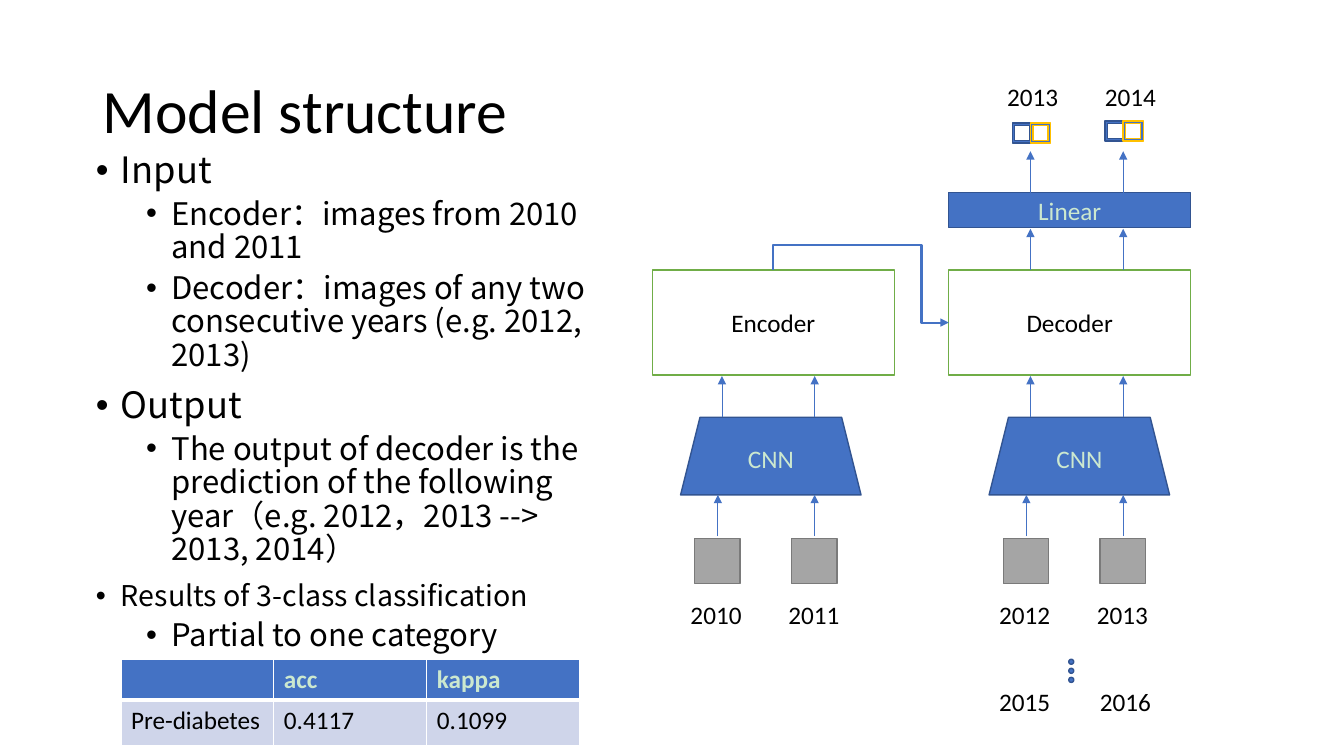
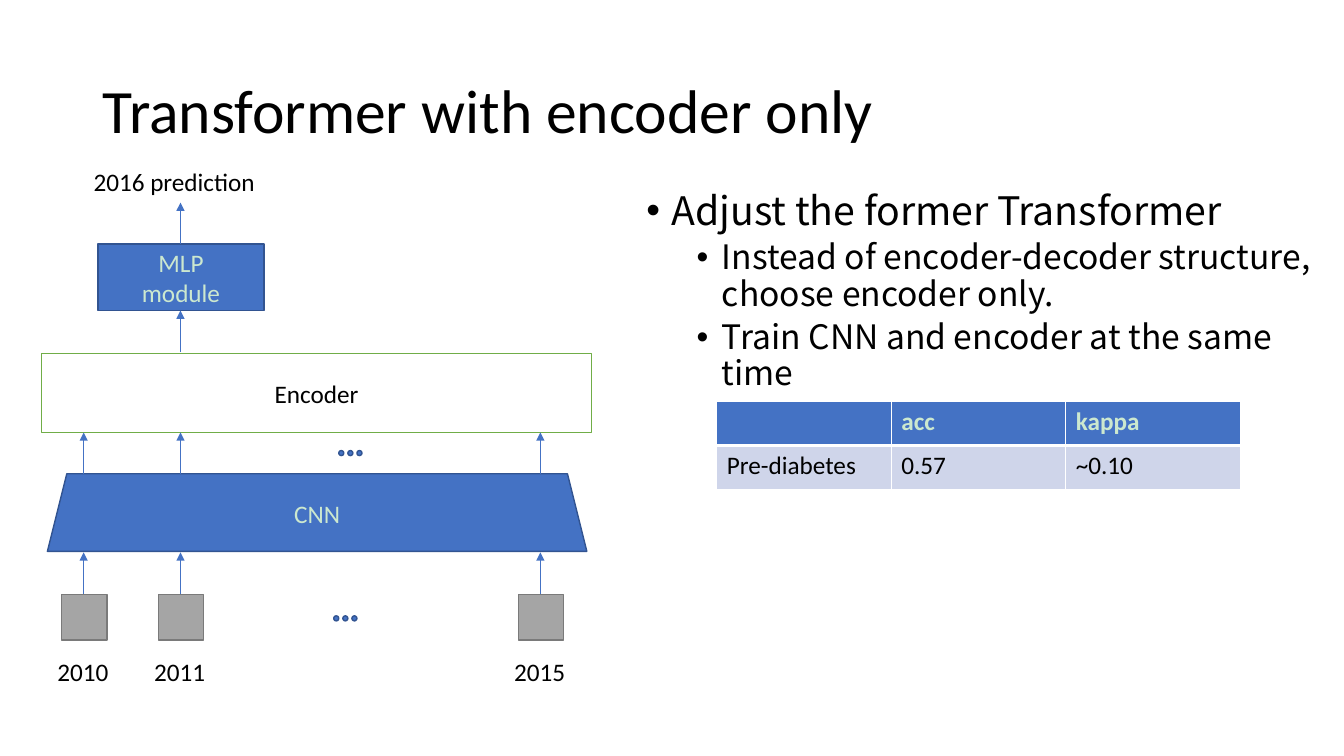
import pptx
import pptx.util
import pptx.dml.color
import pptx.enum.shapes
import pptx.enum.text
import pptx.oxml
import pptx.oxml.ns
from lxml import etree

Inches, Pt = pptx.util.Inches, pptx.util.Pt
SHAPE = pptx.enum.shapes.MSO_SHAPE
CONNECTOR = pptx.enum.shapes.MSO_CONNECTOR
ALIGN = pptx.enum.text.PP_ALIGN
ANCHOR = pptx.enum.text.MSO_ANCHOR
AUTO_SIZE = pptx.enum.text.MSO_AUTO_SIZE
qn = pptx.oxml.ns.qn

# Shared style
WHITE, BLACK, PALE = "FFFFFF", "000000", "CCE8CF"
BLUE, NAVY, GREEN = "4472C4", "325491", "70AD47"
GRAY, DARK_GRAY, GOLD, BAND = "A5A5A5", "7A7A7A", "FFC000", "CFD5EA"
FONT, BODY_FONT = "Calibri", "Noto Sans CJK SC"
INDENTS, SPACES = (0.25, 0.75), (10, 5)

# Content: body lists are (level, size, text)
STRUCTURE = {
    "title": "Model structure",
    "title_width": 5.83,
    "body_box": (0.85, 1.46, 5.37, 5.08),
    "body": [
        (0, 25.9, "Input"),
        (1, 22.2, "Encoder：images from 2010 and 2011"),
        (1, 22.2, "Decoder：images of any two consecutive years (e.g. 2012, 2013)"),
        (0, 25.9, "Output"),
        (1, 22.2, "The output of decoder is the prediction of the following "
                  "year（e.g. 2012，2013 --> 2013, 2014）"),
        (0, 20.4, "Results of 3-class classification"),
        (1, 22.2, "Partial to one category"),
    ],
    "table_box": (1.2, 6.54, 4.55),
    "row_heights": (0.4, 0.45),
    "rows": [("", "acc", "kappa"), ("Pre-diabetes", "0.4117", "0.1099")],
}
ENCODER_ONLY = {
    "title": "Transformer with encoder only",
    "title_width": 11.5,
    "body_box": (6.31, 1.85, 6.79, 4.76),
    "body": [
        (0, 28, "Adjust the former Transformer"),
        (1, 24, "Instead of encoder-decoder structure, choose encoder only."),
        (1, 24, "Train CNN and encoder at the same time"),
    ],
    "table_box": (7.11, 3.98, 5.19),
    "row_heights": (0.44, 0.44),
    "rows": [("", "acc", "kappa"), ("Pre-diabetes", "0.57", "~0.10")],
}
# Towers: (left of block, block name, left of CNN, input years)
TOWERS = [(6.47, "Encoder", 6.75, ("2010", "2011")),
          (9.41, "Decoder", 9.81, ("2012", "2013"))]
STRUCTURE_LABELS = [("2013", 9.89, 0.76), ("2014", 10.86, 0.76),
                    ("2015", 9.81, 6.76), ("2016", 10.81, 6.76)]
SEQUENCE_INPUTS = [("2010", 0.83), ("2011", 1.79), ("2015", 5.36)]


def color(value):
    return pptx.dml.color.RGBColor.from_string(value)


def write(paragraph, text, size=18, font=FONT, fill=BLACK, bold=False,
          align=ALIGN.LEFT):
    paragraph.alignment = align
    run = paragraph.add_run()
    run.text = text
    run.font.size, run.font.name, run.font.bold = Pt(size), font, bold
    run.font.color.rgb = color(fill)
    east_asian = etree.Element(qn("a:ea"), typeface=font)
    run.font._element.find(qn("a:latin")).addnext(east_asian)


def place(shape, left, top, width, height):
    shape.left, shape.top = Inches(left), Inches(top)
    shape.width, shape.height = Inches(width), Inches(height)


def add_box(slide, kind, box, fill, line, text="", text_fill=PALE):
    shape = slide.shapes.add_shape(kind, *map(Inches, box))
    shape.shadow.inherit = False
    shape.fill.solid()
    shape.fill.fore_color.rgb = color(fill)
    shape.line.color.rgb = color(line)
    shape.line.width = Pt(1)
    frame = shape.text_frame
    frame.vertical_anchor = ANCHOR.MIDDLE
    for index, part in enumerate(text.split("\n") if text else []):
        paragraph = frame.add_paragraph() if index else frame.paragraphs[0]
        write(paragraph, part, fill=text_fill, align=ALIGN.CENTER)
    return shape


def add_block(slide, box, text):
    return add_box(slide, SHAPE.RECTANGLE, box, WHITE, GREEN, text, BLACK)


def add_label(slide, text, left, top, width=0.71):
    box = slide.shapes.add_textbox(*map(Inches, (left, top, width, 0.4)))
    box.text_frame.word_wrap = False
    box.text_frame.auto_size = AUTO_SIZE.SHAPE_TO_FIT_TEXT
    write(box.text_frame.paragraphs[0], text)


def style_arrow(connector, width):
    connector.line.color.rgb = color(BLUE)
    connector.line.width = Pt(width)
    line = connector.line._get_or_add_ln()
    etree.SubElement(line, qn("a:tailEnd"), type="triangle")
    etree.SubElement(connector._element.spPr, qn("a:effectLst"))


def add_up_arrow(slide, x, bottom):
    ends = (x, bottom, x, bottom - 0.41)
    style_arrow(slide.shapes.add_connector(CONNECTOR.STRAIGHT, *map(Inches, ends)), 0.5)


def add_bent_arrow(slide, source, target):
    connector = slide.shapes.add_connector(CONNECTOR.ELBOW, 0, 0, 0, 0)
    connector.begin_connect(source, 0)
    connector.end_connect(target, 1)
    place(connector, 8.28, 2.07, 0.52, 1.74)
    properties = connector._element.spPr
    transform = properties.find(qn("a:xfrm"))
    transform.attrib.pop("flipV", None)
    transform.set("rot", str(270 * 60000))
    transform.set("flipH", "1")
    geometry = properties.find(qn("a:prstGeom"))
    geometry.set("prst", "bentConnector4")
    guides = geometry.find(qn("a:avLst"))
    if guides is None:
        guides = etree.SubElement(geometry, qn("a:avLst"))
    for name, value in (("adj1", -47800), ("adj2", 84500)):
        etree.SubElement(guides, qn("a:gd"), name=name, fmla=f"val {value}")
    style_arrow(connector, 1.5)


def add_dots(slide, left, top, step_x=0.0, step_y=0.0):
    for index in range(3):
        box = (left + index * step_x, top + index * step_y, 0.05, 0.05)
        add_box(slide, SHAPE.OVAL, box, BLUE, NAVY)


def add_input(slide, left, top, year, label_left):
    add_box(slide, SHAPE.RECTANGLE, (left, top, 0.45, 0.45), GRAY, DARK_GRAY)
    add_label(slide, year, label_left, top + 0.56)


def add_results(slide, box, row_heights, rows):
    left, top, width = box
    columns = len(rows[0])
    table = slide.shapes.add_table(len(rows), columns, *map(
        Inches, (left, top, width, sum(row_heights)))).table
    for column in table.columns:
        column.width = Inches(width / columns)
    for row_index, values in enumerate(rows):
        table.rows[row_index].height = Inches(row_heights[row_index])
        header = row_index == 0
        for column_index, value in enumerate(values):
            cell = table.cell(row_index, column_index)
            if value:
                write(cell.text_frame.paragraphs[0], value, bold=header,
                      fill=PALE if header else BLACK)
            # Borders come before the fill in the cell properties
            properties = cell._tc.get_or_add_tcPr()
            thick_side = "B" if header else "T"
            for side in "LRTB":
                border = etree.SubElement(properties, qn(f"a:ln{side}"),
                                          w=str(Pt(3 if side == thick_side else 1)))
                solid = etree.SubElement(border, qn("a:solidFill"))
                etree.SubElement(solid, qn("a:srgbClr"), val=WHITE)
            cell.fill.solid()
            cell.fill.fore_color.rgb = color(BLUE if header else BAND)


def add_list(frame, items):
    frame.word_wrap = True
    frame.auto_size = AUTO_SIZE.NONE
    for index, (level, size, text) in enumerate(items):
        paragraph = frame.add_paragraph() if index else frame.paragraphs[0]
        paragraph.level = level
        write(paragraph, text, size=size, font=BODY_FONT)
        paragraph.line_spacing = 0.9
        paragraph.space_before = Pt(SPACES[level])
        properties = paragraph._p.get_or_add_pPr()
        properties.set("marL", str(Inches(INDENTS[level])))
        properties.set("indent", str(Inches(-0.25)))
        etree.SubElement(properties, qn("a:buFont"), typeface="Arial")
        etree.SubElement(properties, qn("a:buChar"), char="•")


def start_slide(presentation, content):
    slide = presentation.slides.add_slide(presentation.slide_layouts[1])
    slide.background.fill.solid()
    slide.background.fill.fore_color.rgb = color(WHITE)
    title, body = slide.placeholders
    place(title, 0.92, 0.4, content["title_width"], 1.45)
    title.text_frame.vertical_anchor = ANCHOR.MIDDLE
    title.text_frame.auto_size = AUTO_SIZE.NONE
    paragraph = title.text_frame.paragraphs[0]
    write(paragraph, content["title"], size=44)
    paragraph.line_spacing = 0.9
    place(body, *content["body_box"])
    add_list(body.text_frame, content["body"])
    add_results(slide, content["table_box"], content["row_heights"], content["rows"])
    return slide


def build_structure(presentation):
    slide = start_slide(presentation, STRUCTURE)
    blocks = []
    # Encoder and decoder towers
    for block_left, name, cnn_left, years in TOWERS:
        blocks.append(add_block(slide, (block_left, 2.68, 2.4, 1.04), name))
        add_box(slide, SHAPE.TRAPEZOID, (cnn_left, 4.14, 1.79, 0.77), BLUE, NAVY, "CNN")
        for index, year in enumerate(years):
            input_left = cnn_left + 0.14 + index * 0.96
            add_input(slide, input_left, 5.34, year, cnn_left + index * 0.97)
            add_up_arrow(slide, input_left + 0.23, 5.32)
            add_up_arrow(slide, cnn_left + 0.41 + index * 0.92, 4.14)
    add_bent_arrow(slide, *blocks)
    # Linear layer and predictions
    add_box(slide, SHAPE.RECTANGLE, (9.41, 1.91, 2.4, 0.35), BLUE, NAVY, "Linear")
    for x, frame_top in ((10.22, 1.22), (11.14, 1.2)):
        add_up_arrow(slide, x, 2.68)
        add_up_arrow(slide, x, 1.91)
        for left, line in ((x - 0.18, NAVY), (x, GOLD)):
            add_box(slide, SHAPE.FRAME, (left, frame_top, 0.2, 0.2), BLUE, line)
    for label in STRUCTURE_LABELS:
        add_label(slide, *label)
    add_dots(slide, 10.6, 6.54, step_y=0.09)


def build_encoder_only(presentation):
    slide = start_slide(presentation, ENCODER_ONLY)
    add_block(slide, (0.41, 3.51, 5.46, 0.78), "Encoder")
    add_box(slide, SHAPE.TRAPEZOID, (0.47, 4.7, 5.35, 0.77), BLUE, NAVY, "CNN")
    # Yearly inputs
    for year, x in SEQUENCE_INPUTS:
        add_input(slide, x - 0.22, 5.9, year, x - 0.36)
        add_up_arrow(slide, x, 5.89)
        add_up_arrow(slide, x, 4.7)
    add_dots(slide, 3.31, 6.11, step_x=0.09)
    add_dots(slide, 3.36, 4.47, step_x=0.09)
    # Prediction head
    add_box(slide, SHAPE.RECTANGLE, (0.97, 2.42, 1.65, 0.66), BLUE, NAVY, "MLP\nmodule")
    for bottom in (3.49, 2.42):
        add_up_arrow(slide, 1.79, bottom)
    add_label(slide, "2016 prediction", 0.83, 1.6, width=1.8)


def main():
    presentation = pptx.Presentation()
    presentation.slide_width, presentation.slide_height = Inches(13.33), Inches(7.5)
    build_structure(presentation)
    build_encoder_only(presentation)
    presentation.save("out.pptx")


if __name__ == "__main__":
    main()
